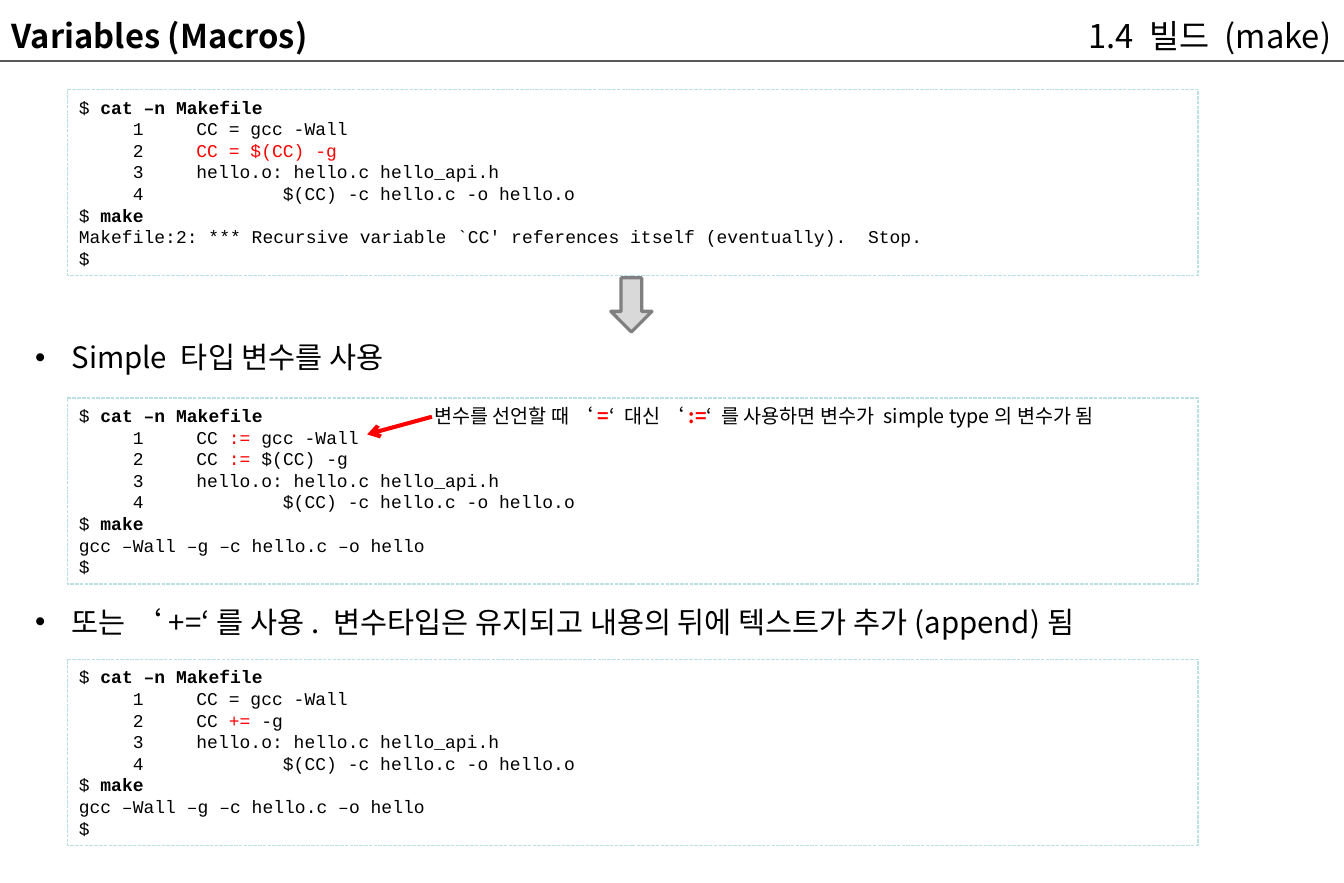
from lxml.etree import SubElement
from pptx import Presentation
from pptx.dml.color import RGBColor
from pptx.enum.dml import MSO_LINE
from pptx.enum.shapes import MSO_CONNECTOR, MSO_SHAPE
from pptx.enum.text import MSO_ANCHOR, PP_ALIGN
from pptx.oxml.ns import qn
from pptx.util import Inches, Pt

THEME = {
    "text": RGBColor(0x00, 0x00, 0x00),
    "accent": RGBColor(0xFF, 0x00, 0x00),
    "rule": RGBColor(0x59, 0x59, 0x59),
    "code_border": RGBColor(0xBB, 0xE0, 0xE3),
    "arrow_fill": RGBColor(0xD9, 0xD9, 0xD9),
    "arrow_line": RGBColor(0x80, 0x80, 0x80),
    "sans": "Noto Sans CJK KR",
    "mono": "Courier New",
    "title_size": Pt(20),
    "bullet_size": Pt(18),
    "note_size": Pt(12),
    "code_size": Pt(11),
    "code_leading": Pt(13.2),
}

presentation = Presentation()
presentation.slide_width, presentation.slide_height = Inches(11.42), Inches(7.5)
slide = presentation.slides.add_slide(presentation.slide_layouts[5])
shapes = slide.shapes


def place(*percents):
    """Turn alternating horizontal and vertical percentages into slide lengths."""
    sides = (presentation.slide_width, presentation.slide_height)
    return [int(sides[i % 2] * percent / 100) for i, percent in enumerate(percents)]


def write(shape, lines, font, size, align=PP_ALIGN.LEFT):
    """Fill a shape with lines, each a list of (text, look); look is "", "bold", "red" or both."""
    frame = shape.text_frame
    frame.word_wrap = True
    frame.vertical_anchor = MSO_ANCHOR.MIDDLE
    for index, line in enumerate(lines):
        paragraph = frame.paragraphs[0] if index == 0 else frame.add_paragraph()
        paragraph.alignment = align
        for text, look in line:
            run = paragraph.add_run()
            run.text = text
            formats = {"name": THEME[font], "size": THEME[size], "bold": "bold" in look}
            for name, value in formats.items():
                setattr(run.font, name, value)
            run.font.color.rgb = THEME["accent" if "red" in look else "text"]
            SubElement(run.font._element, qn("a:ea"), typeface=THEME[font])


# Header
title = shapes.title
title.left, title.top, title.width, title.height = place(0, 1.07, 41.07, 5.87)
write(title, [[("Variables (Macros)", "bold")]], "sans", "title_size")
chapter = shapes.add_textbox(*place(63.05, 1.07, 36.86, 5.87))
write(chapter, [[("1.4 빌드 (make)", "")]], "sans", "title_size", PP_ALIGN.RIGHT)

# Bullets
bullets = [
    (37.07, "Simple 타입 변수를 사용"),
    (67.07, "또는 ‘+=‘를 사용. 변수타입은 유지되고 내용의 뒤에 텍스트가 추가(append)됨"),
]
for top, text in bullets:
    bullet = shapes.add_textbox(*place(1.75, top, 96.5, 6.67))
    write(bullet, [[(text, "")]], "sans", "bullet_size")
    properties = bullet.text_frame.paragraphs[0]._p.get_or_add_pPr()
    properties.set("marL", str(Inches(0.31)))
    properties.set("indent", str(-Inches(0.31)))
    SubElement(properties, qn("a:buFont"), typeface="Arial")
    SubElement(properties, qn("a:buChar"), char="•")

# Terminal listings: top, first two Makefile lines, output of make
compiled = "gcc –Wall –g –c hello.c –o hello"
listings = [
    (10.13, [("CC = gcc -Wall", "")], [("CC = $(CC) -g", "red")],
     "Makefile:2: *** Recursive variable `CC' references itself (eventually).  Stop."),
    (45.07, [("CC ", ""), (":= ", "red"), ("gcc -Wall", "")],
     [("CC ", ""), (":=", "red"), (" $(CC) -g", "")], compiled),
    (74.67, [("CC = gcc -Wall", "")], [("CC ", ""), ("+=", "red"), (" -g", "")], compiled),
]
for top, first, second, output in listings:
    listing = shapes.add_shape(MSO_SHAPE.RECTANGLE, *place(5, top, 84.15, 21.07))
    listing.shadow.inherit = False
    listing.fill.background()
    listing.line.color.rgb = THEME["code_border"]
    listing.line.width = Pt(0.75)
    listing.line.dash_style = MSO_LINE.SQUARE_DOT
    makefile = [first, second, [("hello.o: hello.c hello_api.h", "")],
                [("        $(CC) -c hello.c -o hello.o", "")]]
    numbered = [[(f"     {number}\t", ""), *runs] for number, runs in enumerate(makefile, 1)]
    write(listing, [
        [("$ ", ""), ("cat –n Makefile", "bold")],
        *numbered,
        [("$ ", ""), ("make", "bold")],
        [(output, "")],
        [("$", "")],
    ], "mono", "code_size")
    for paragraph in listing.text_frame.paragraphs:
        paragraph.line_spacing = THEME["code_leading"]

# Step from the failing listing to the fix
down_arrow = shapes.add_shape(MSO_SHAPE.DOWN_ARROW, *place(45.45, 31.47, 3.06, 6.13))
down_arrow.shadow.inherit = False
down_arrow.fill.solid()
down_arrow.fill.fore_color.rgb = THEME["arrow_fill"]
down_arrow.line.color.rgb = THEME["arrow_line"]
down_arrow.line.width = Pt(2)

# Note on the simple assignment
note = shapes.add_textbox(*place(31.44, 45.07, 51.84, 4))
write(note, [[
    ("변수를 선언할 때 ‘", ""), ("=", "bold red"), ("‘ 대신 ‘", ""),
    (":=", "bold red"), ("‘ 를 사용하면 변수가 simple type의 변수가 됨", ""),
]], "sans", "note_size")

# Header rule and note pointer
lines = [
    ((0, 6.93, 100, 6.93), "rule", 1.5, None),
    ((32.14, 47.2, 27.32, 49.2), "accent", 2.5, "arrow"),
]
for ends, color, width, head in lines:
    connector = shapes.add_connector(MSO_CONNECTOR.STRAIGHT, *place(*ends))
    connector.line.color.rgb = THEME[color]
    connector.line.width = Pt(width)
    if head:
        SubElement(connector.line._get_or_add_ln(), qn("a:tailEnd"), type=head)
    SubElement(connector._element.spPr, qn("a:effectLst"))

presentation.save("out.pptx")
